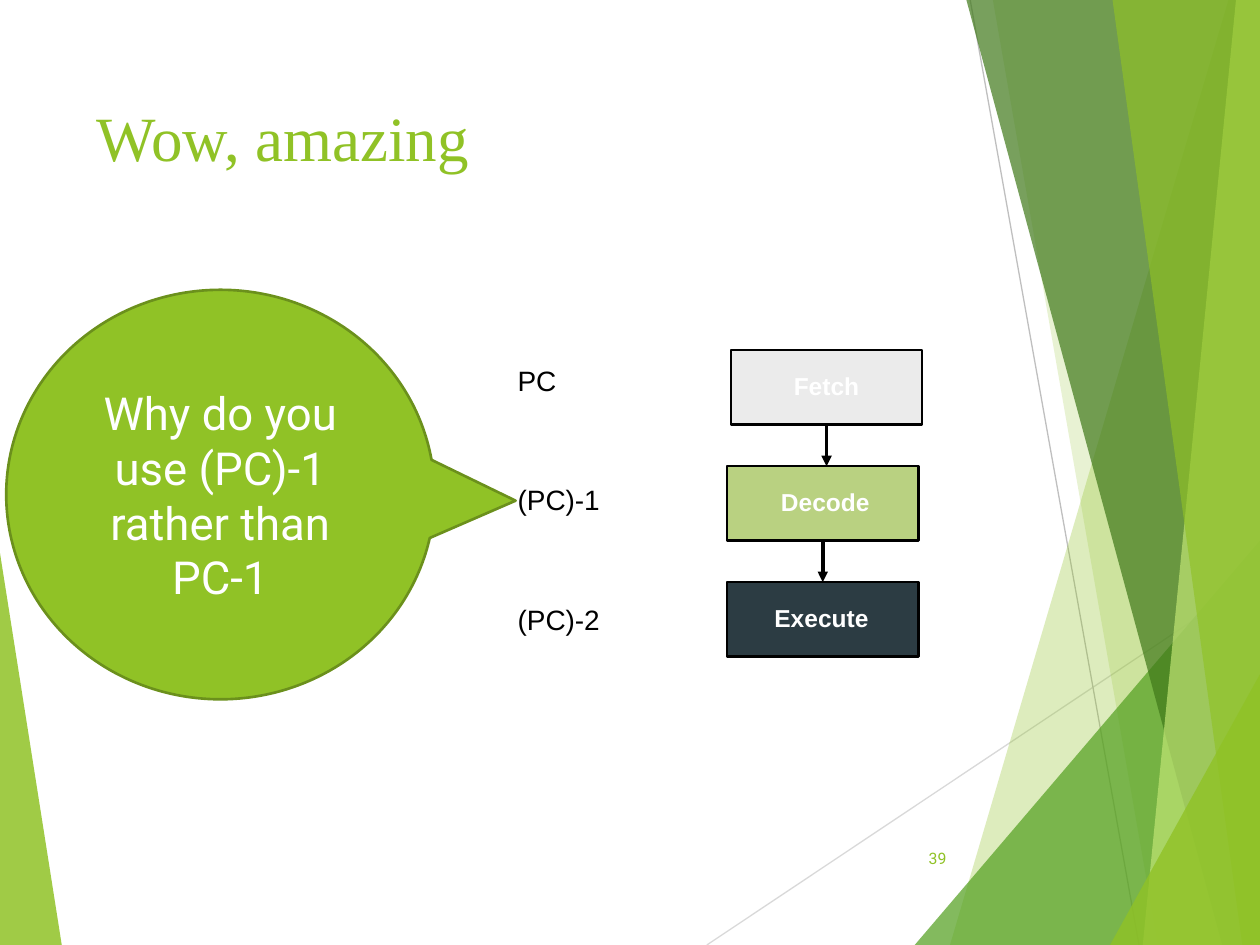
from lxml import etree
from pptx import Presentation
from pptx.dml.color import RGBColor
from pptx.enum.shapes import MSO_CONNECTOR, MSO_SHAPE
from pptx.enum.text import MSO_ANCHOR, PP_ALIGN
from pptx.oxml.ns import qn
from pptx.util import Inches, Pt

LEFT, CENTER, RIGHT = PP_ALIGN.LEFT, PP_ALIGN.CENTER, PP_ALIGN.RIGHT
TOP, MIDDLE = MSO_ANCHOR.TOP, MSO_ANCHOR.MIDDLE
RECTANGLE = MSO_SHAPE.RECTANGLE
CALLOUT = MSO_SHAPE.OVAL_CALLOUT
STRAIGHT = MSO_CONNECTOR.STRAIGHT
GREEN, BLACK, WHITE = "90C226", "000000", "FFFFFF"
BOTTOM_SITE, TOP_SITE = 2, 0


def rgb(color):
    """Turn a hex string into a colour."""
    return RGBColor.from_string(color)


def inches(values):
    """Convert a sequence of numbers to lengths."""
    return [Inches(value) for value in values]


def paint(shape, fill, line=None, width=1.25, opacity=100):
    """Give a shape its fill and outline, without a shadow."""
    shape.shadow.inherit = False
    shape.fill.solid()
    shape.fill.fore_color.rgb = rgb(fill)
    if opacity < 100:
        color = shape.fill._xPr.find(".//" + qn("a:srgbClr"))
        etree.SubElement(color, qn("a:alpha"), val=str(opacity * 1000))
    if line:
        shape.line.color.rgb = rgb(line)
        shape.line.width = Pt(width)
    else:
        shape.line.fill.background()


def write(shape, text, size, color, font="Arial", bold=False, align=LEFT,
          anchor=TOP, spacing=None, wrap=True):
    """Write one formatted paragraph into a shape."""
    frame = shape.text_frame
    frame.word_wrap = wrap
    frame.vertical_anchor = anchor
    paragraph = frame.paragraphs[0]
    paragraph.text = text
    paragraph.alignment = align
    if spacing:
        paragraph.line_spacing = spacing
    paragraph.font.size = Pt(size)
    paragraph.font.name = font
    paragraph.font.bold = bold
    paragraph.font.color.rgb = rgb(color)


def add_text(slide, box, text, **style):
    """Add a text box with formatted text."""
    write(slide.shapes.add_textbox(*inches(box)), text, **style)


def add_line(slide, ends, color, width, arrow=False):
    """Add a straight line, with an arrowhead if asked."""
    line = slide.shapes.add_connector(STRAIGHT, *inches(ends))
    line.line.color.rgb = rgb(color)
    line.line.width = Pt(width)
    if arrow:
        etree.SubElement(line.line._get_or_add_ln(), qn("a:tailEnd"), type="triangle")
    etree.SubElement(line._element.spPr, qn("a:effectLst"))
    return line


def add_facet(slide, points, color, opacity):
    """Add a translucent polygon."""
    start, *rest = [inches(point) for point in points]
    builder = slide.shapes.build_freeform(*start)
    builder.add_line_segments(rest, close=True)
    paint(builder.convert_to_shape(), color, opacity=opacity)


def add_backdrop(slide, box):
    """Draw the green facets along the edges of the given box."""
    left, top, width, height = box
    right, bottom = left + width, top + height
    add_facet(slide, [(left, 4.39), (0.49, bottom), (left, bottom)], GREEN, 85)
    add_line(slide, (5.61, bottom, right, 4.57), "D9D9D9", 0.75)
    add_line(slide, (7.7, top, 9.04, bottom), "BFBFBF", 0.75)
    facets = [
        (9.75, top, 7.54, GREEN, 30),
        (7.88, top, 9.19, GREEN, 20),
        (right, 4.29, 7.26, "54A021", 72),
        (7.67, top, 9.7, "3F7819", 70),
        (9.81, top, 9.07, "C0E474", 70),
        (8.83, top, 9.86, GREEN, 65),
        (right, 5.35, 8.81, GREEN, 80),
    ]
    for upper_x, upper_y, lower_x, color, opacity in facets:
        points = [(upper_x, upper_y), (lower_x, bottom), (right, bottom)]
        if upper_x < right:
            points.append((right, upper_y))
        add_facet(slide, points, color, opacity)


def add_pipeline(slide, box):
    """Draw the three stages from top to bottom, joined by arrows."""
    left, top, width, height = box
    stage_height = 0.59
    pitch = (height - stage_height) / 2
    stages = [("Fetch", 0.03, "EBEBEB", 0.03), ("Decode", 0, "B9D181", 0.02),
              ("Execute", 0, "2C3C43", -0.01)]
    rects = []
    for row, (name, shift, fill, label_shift) in enumerate(stages):
        y = top + row * pitch
        rect = slide.shapes.add_shape(
            RECTANGLE, *inches((left + shift, y, width, stage_height)))
        paint(rect, fill, BLACK)
        rects.append(rect)
        add_text(slide, (left + label_shift, y + 0.14, width, 0.31), name, size=14,
                 color=WHITE, bold=True, align=CENTER, spacing=0.9)
    for row, (upper, lower) in enumerate(zip(rects, rects[1:])):
        x = left + stages[row][1] + width / 2
        y = top + row * pitch
        arrow = add_line(slide, (x, y + stage_height, x, y + pitch), BLACK, 2, arrow=True)
        arrow.begin_connect(upper, BOTTOM_SITE)
        if upper.left == lower.left:
            arrow.end_connect(lower, TOP_SITE)


def add_addresses(slide, box):
    """List the program counter value beside each stage."""
    left, top, width, height = box
    label_height = 0.34
    pitch = (height - label_height) / 2
    for row, address in enumerate(["PC", "(PC)-1", "(PC)-2"]):
        add_text(slide, (left, top + row * pitch, width, label_height), address,
                 size=16, color=BLACK, spacing=0.9)


def add_question(slide, box):
    """Draw the speech balloon that points at the addresses."""
    balloon = slide.shapes.add_shape(CALLOUT, *inches(box))
    balloon.adjustments[0] = 0.689
    balloon.adjustments[1] = 0.015
    paint(balloon, GREEN, "6B901C", 1.5)
    write(balloon, "Why do you use (PC)-1 rather than PC-1", size=26, color=WHITE,
          font="Roboto", align=CENTER, anchor=MIDDLE)


def main():
    """Build the slide and save it."""
    deck = Presentation()
    deck.slide_width, deck.slide_height = Inches(10), Inches(7.5)
    slide = deck.slides.add_slide(deck.slide_layouts[6])
    add_backdrop(slide, (0, 0, 10, 7.5))
    add_text(slide, (0.67, 0.67, 6.94, 0.82), "Wow, amazing", size=36, color=GREEN,
             font="Times New Roman", anchor=MIDDLE)
    add_text(slide, (7.05, 6.61, 0.56, 0.4), "39", size=9, color=GREEN,
             font="Roboto", align=RIGHT, anchor=MIDDLE)
    add_pipeline(slide, (5.77, 2.78, 1.52, 2.43))
    add_addresses(slide, (4.01, 2.87, 1.21, 2.23))
    add_question(slide, (0.05, 2.3, 3.4, 3.25))
    deck.save("out.pptx")


if __name__ == "__main__":
    main()
